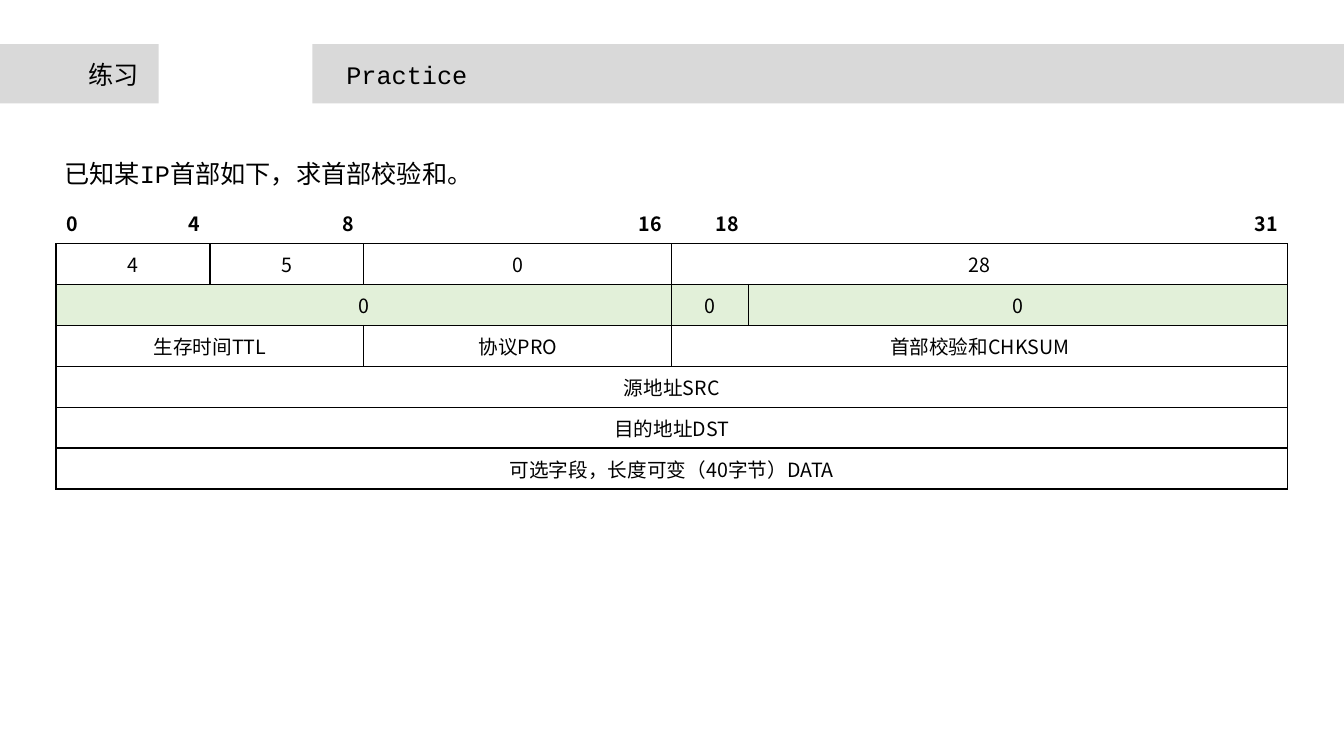
from dataclasses import dataclass

from lxml import etree
from pptx import Presentation
from pptx.dml.color import RGBColor
from pptx.enum.shapes import MSO_SHAPE
from pptx.enum.text import MSO_ANCHOR, PP_ALIGN
from pptx.oxml.ns import qn
from pptx.util import Cm, Pt

RECT = MSO_SHAPE.RECTANGLE
MIDDLE = MSO_ANCHOR.MIDDLE
LEFT, CENTER, RIGHT = PP_ALIGN.LEFT, PP_ALIGN.CENTER, PP_ALIGN.RIGHT


@dataclass(frozen=True)
class Theme:
    ink: str = "000000"
    band: str = "D9D9D9"
    highlight: str = "E2F0D9"
    mono: str = "Courier New"
    cjk: str = "Noto Sans CJK SC"
    text_size: int = 18
    cell_size: int = 14
    border: int = 1


# Widths of the table columns in bits; each bit is BIT centimetres wide
COLUMN_BITS = [2, 2, 4, 8, 2, 14]
BIT = 0.97
ROW_HEIGHT = 1.03
BIT_MARKS = ["0", "4", "8", "16", "18", "31"]

# Each field: text, number of columns it spans
HEADER_ROWS = [
    [("4", 2), ("5", 1), ("0", 1), ("28", 2)],
    [("0", 4), ("0", 1), ("0", 1)],
    [("生存时间TTL", 3), ("协议PRO", 1), ("首部校验和CHKSUM", 2)],
    [("源地址SRC", 6)],
    [("目的地址DST", 6)],
    [("可选字段，长度可变（40字节）DATA", 6)],
]
HIGHLIGHTED_ROW = 2


class SlideBuilder:
    def __init__(self, slide, theme):
        self.slide = slide
        self.theme = theme

    def style(self, p, size, font, bold=False):
        for r in p.runs:
            r.font.size = Pt(size)
            r.font.bold = bold
            r.font.name = font
            r.font.color.rgb = RGBColor.from_string(self.theme.ink)
            ea = etree.SubElement(r._r.get_or_add_rPr(), qn("a:ea"))
            ea.set("typeface", self.theme.cjk)

    def band(self, left, width):
        s = self.slide.shapes.add_shape(RECT, Cm(left), Cm(1.11), Cm(width), Cm(1.5))
        s.shadow.inherit = False
        s.fill.solid()
        s.fill.fore_color.rgb = RGBColor.from_string(self.theme.band)
        s.line.fill.background()

    def text(self, text, left, top, width, font, wrap=False):
        s = self.slide.shapes.add_textbox(Cm(left), Cm(top), Cm(width), Cm(1.03))
        tf = s.text_frame
        tf.word_wrap = wrap
        tf.text = text
        self.style(tf.paragraphs[0], self.theme.text_size, font)

    def borders(self, cell, drawn):
        """Draw the cell sides named in drawn (of L, R, T, B) and clear the rest."""
        tc_pr = cell._tc.get_or_add_tcPr()
        for i, side in enumerate("LRTB"):
            ln = etree.Element(qn(f"a:ln{side}"), w=str(Pt(self.theme.border)))
            if side in drawn:
                fill = etree.SubElement(ln, qn("a:solidFill"))
                etree.SubElement(fill, qn("a:srgbClr"), val=self.theme.ink)
            else:
                etree.SubElement(ln, qn("a:noFill"))
            tc_pr.insert(i, ln)

    def cell(self, cell, text, align, bold=False):
        cell.vertical_anchor = MIDDLE
        cell.text_frame.text = text
        p = cell.text_frame.paragraphs[0]
        p.alignment = align
        self.style(p, self.theme.cell_size, self.theme.cjk, bold)

    def header_table(self, left, top):
        rows, cols = len(HEADER_ROWS) + 1, len(COLUMN_BITS)
        table = self.slide.shapes.add_table(
            rows, cols, Cm(left), Cm(top),
            Cm(sum(COLUMN_BITS) * BIT), Cm(rows * ROW_HEIGHT)).table
        table.first_row = table.horz_banding = False
        for column, bits in zip(table.columns, COLUMN_BITS):
            column.width = Cm(bits * BIT)
        for i, row in enumerate(table.rows):
            row.height = Cm(ROW_HEIGHT)
            for cell in row.cells:
                if i == HIGHLIGHTED_ROW:
                    cell.fill.solid()
                    cell.fill.fore_color.rgb = RGBColor.from_string(self.theme.highlight)
                else:
                    cell.fill.background()
                self.borders(cell, "LRTB" if i else "B")
        for j, mark in enumerate(BIT_MARKS):
            self.cell(table.cell(0, j), mark, RIGHT if j else LEFT, bold=True)
        for i, fields in enumerate(HEADER_ROWS, 1):
            j = 0
            for text, span in fields:
                cell = table.cell(i, j)
                if span > 1:
                    cell.merge(table.cell(i, j + span - 1))
                self.cell(cell, text, CENTER)
                j += span


def main():
    prs = Presentation()
    prs.slide_width, prs.slide_height = Cm(33.87), Cm(19.05)
    theme = Theme()
    page = SlideBuilder(prs.slides.add_slide(prs.slide_layouts[6]), theme)
    page.band(7.87, 26)
    page.band(0, 4)
    page.text("练习", 1.98, 1.37, 1.8, theme.cjk)
    page.text("Practice", 8.48, 1.37, 3.58, theme.mono)
    page.text("已知某IP首部如下，求首部校验和。", 1.37, 3.86, 31.12, theme.mono, wrap=True)
    page.header_table(1.41, 5.11)
    prs.save("out.pptx")


if __name__ == "__main__":
    main()
